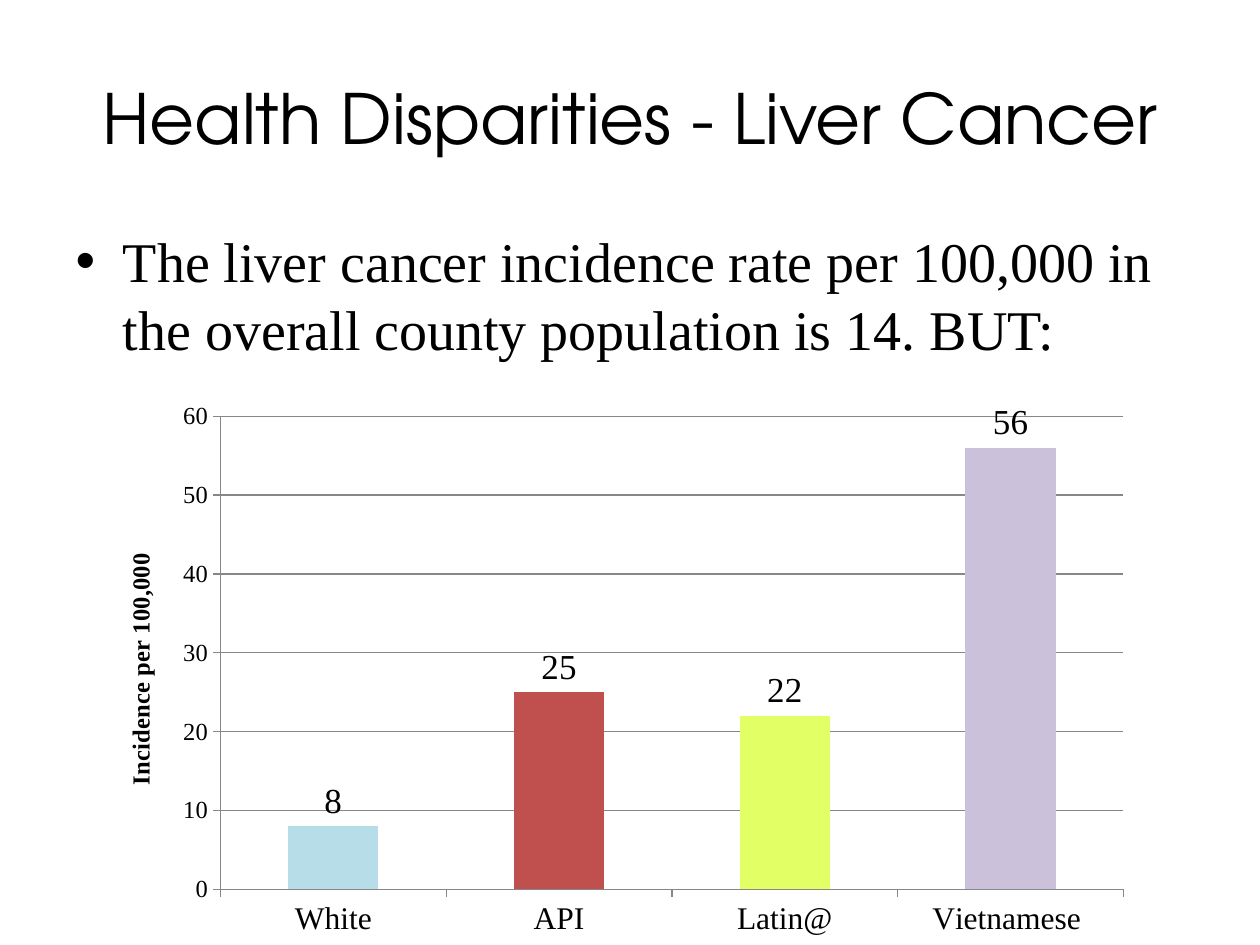
import pptx
import pptx.chart.data
import pptx.dml.color
import pptx.enum.chart
import pptx.enum.text
import pptx.oxml
import pptx.oxml.ns
import pptx.util
from pptx.util import Pt

# Content
TITLE = "Health Disparities - Liver Cancer"
BODY = "The liver cancer incidence rate per 100,000 in the overall county population is 14. BUT:"
AXIS_TITLE = "Incidence per 100,000"
RATES = [  # group, rate, bar colour
    ("White", 8, "B7DEE8"),
    ("API", 25, "C0504D"),
    ("Latin@", 22, "E3FF66"),
    ("Vietnamese ", 56, "CCC1DA"),
]

# Boxes: left, top, width, height
BOXES = {
    "title": (36, 21.6, 648, 90),
    "body": (36, 126, 648, 356.4),
    "chart": (54, 222, 600, 318),
}
PLOT = {"x": 0.12, "y": 0.05, "w": 0.86, "h": 0.85}  # shares of the chart

THEME = {
    "ink": "000000", "grid": "878787", "bar": "4F81BD",
    "heading": "TeX Gyre Adventor", "text": "Times New Roman",
    "title": 39.6, "body": 32, "labels": 20, "groups": 18, "scale": 14,
}


def rgb(value):
    return pptx.dml.color.RGBColor.from_string(value)


def set_font(font, size, name="text", bold=False):
    values = {"name": THEME[name], "size": Pt(THEME[size]), "bold": bold}
    for key, value in values.items():
        setattr(font, key, value)
    font.color.rgb = rgb(THEME["ink"])


def set_line(line):
    line.color.rgb = rgb(THEME["grid"])
    line.width = Pt(0.75)


def fill_placeholder(sp, role, text, font_name):
    for key, value in zip(("left", "top", "width", "height"), BOXES[role]):
        setattr(sp, key, Pt(value))
    tf = sp.text_frame
    tf.word_wrap = True
    p = tf.paragraphs[0]
    r = p.add_run()
    r.text = text
    set_font(r.font, role, font_name)
    return p


def place_plot(chart):
    area = chart._chartSpace.chart.plotArea
    for old in area.findall(pptx.oxml.ns.qn("c:layout")):
        area.remove(old)
    sides = "".join(f'<c:{k} val="{v}"/>' for k, v in PLOT.items())
    area.insert(0, pptx.oxml.parse_xml(
        f'<c:layout {pptx.oxml.ns.nsdecls("c")}><c:manualLayout>'
        '<c:layoutTarget val="inner"/><c:xMode val="edge"/><c:yMode val="edge"/>'
        f'{sides}</c:manualLayout></c:layout>'))


def add_rate_chart(s):
    groups, rates, colors = zip(*RATES)
    data = pptx.chart.data.CategoryChartData()
    data.categories = groups
    data.add_series("Series 1", rates)
    kind = pptx.enum.chart.XL_CHART_TYPE.COLUMN_CLUSTERED
    chart = s.shapes.add_chart(kind, *map(Pt, BOXES["chart"]), data).chart
    chart.has_legend = False
    chart.has_title = False
    set_font(chart.font, "scale")

    # Axes
    for axis, size in ((chart.category_axis, "groups"), (chart.value_axis, "scale")):
        set_font(axis.tick_labels.font, size)
        set_line(axis.format.line)
        axis.major_tick_mark = pptx.enum.chart.XL_TICK_MARK.OUTSIDE
    axis = chart.value_axis
    for key, value in {"minimum_scale": 0, "maximum_scale": 60, "major_unit": 10}.items():
        setattr(axis, key, value)
    axis.has_major_gridlines = True
    set_line(axis.major_gridlines.format.line)
    r = axis.axis_title.text_frame.paragraphs[0].add_run()
    r.text = AXIS_TITLE
    set_font(r.font, "scale", bold=True)

    # Bars and their values
    plot = chart.plots[0]
    plot.gap_width = 150
    plot.vary_by_categories = False
    series = plot.series[0]
    series.format.fill.solid()
    series.format.fill.fore_color.rgb = rgb(THEME["bar"])
    for i, color in enumerate(colors):
        fill = series.points[i].format.fill
        fill.solid()
        fill.fore_color.rgb = rgb(color)
    labels = series.data_labels
    labels.show_value = True
    labels.position = pptx.enum.chart.XL_LABEL_POSITION.OUTSIDE_END
    set_font(labels.font, "labels")
    place_plot(chart)


def main():
    prs = pptx.Presentation()
    prs.slide_width, prs.slide_height = Pt(720), Pt(540)
    s = prs.slides.add_slide(prs.slide_layouts[1])

    # Title and body
    p = fill_placeholder(s.shapes.title, "title", TITLE, "heading")
    p.alignment = pptx.enum.text.PP_ALIGN.CENTER
    fill_placeholder(s.placeholders[1], "body", BODY, "text")

    add_rate_chart(s)
    prs.save("out.pptx")


if __name__ == "__main__":
    main()
